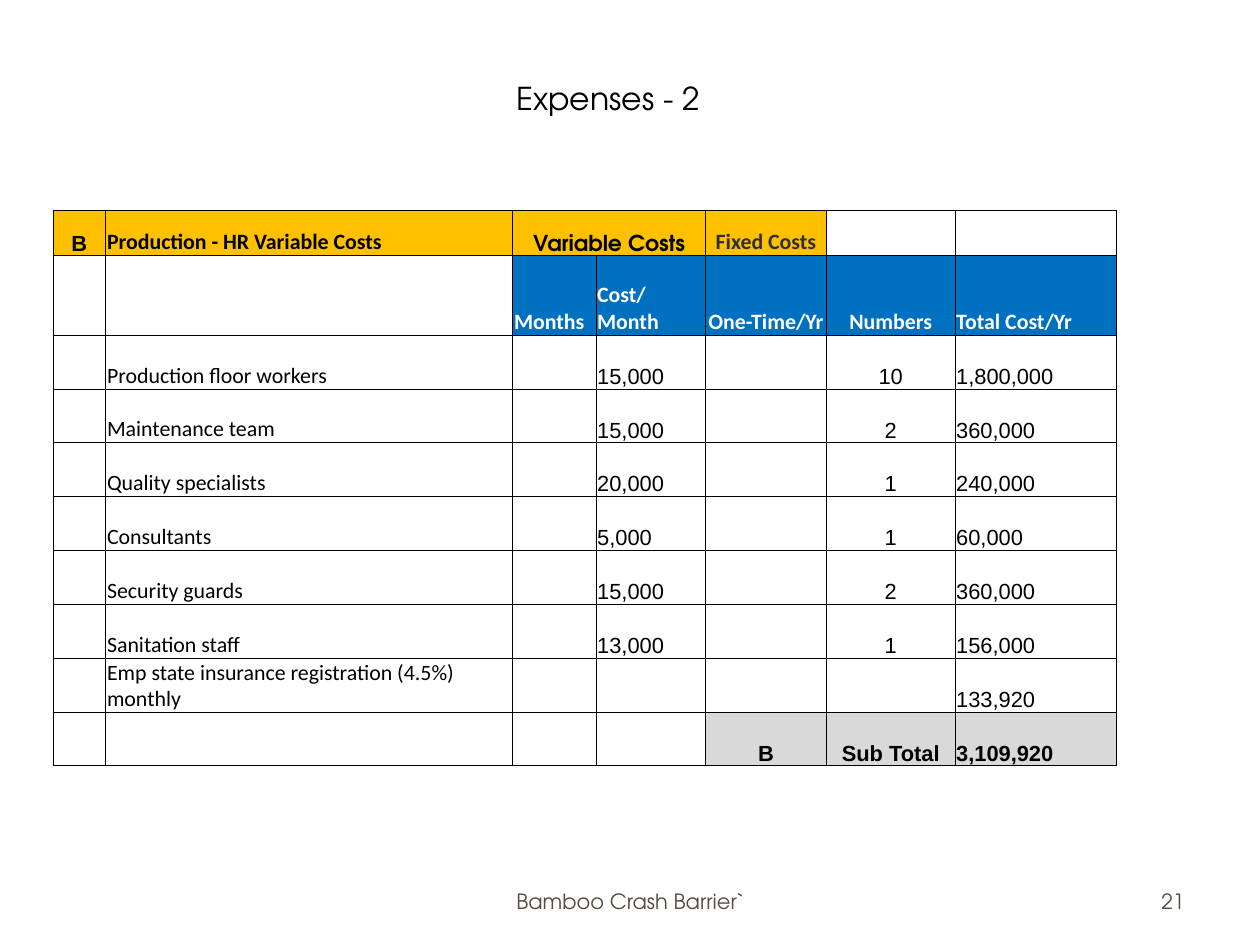
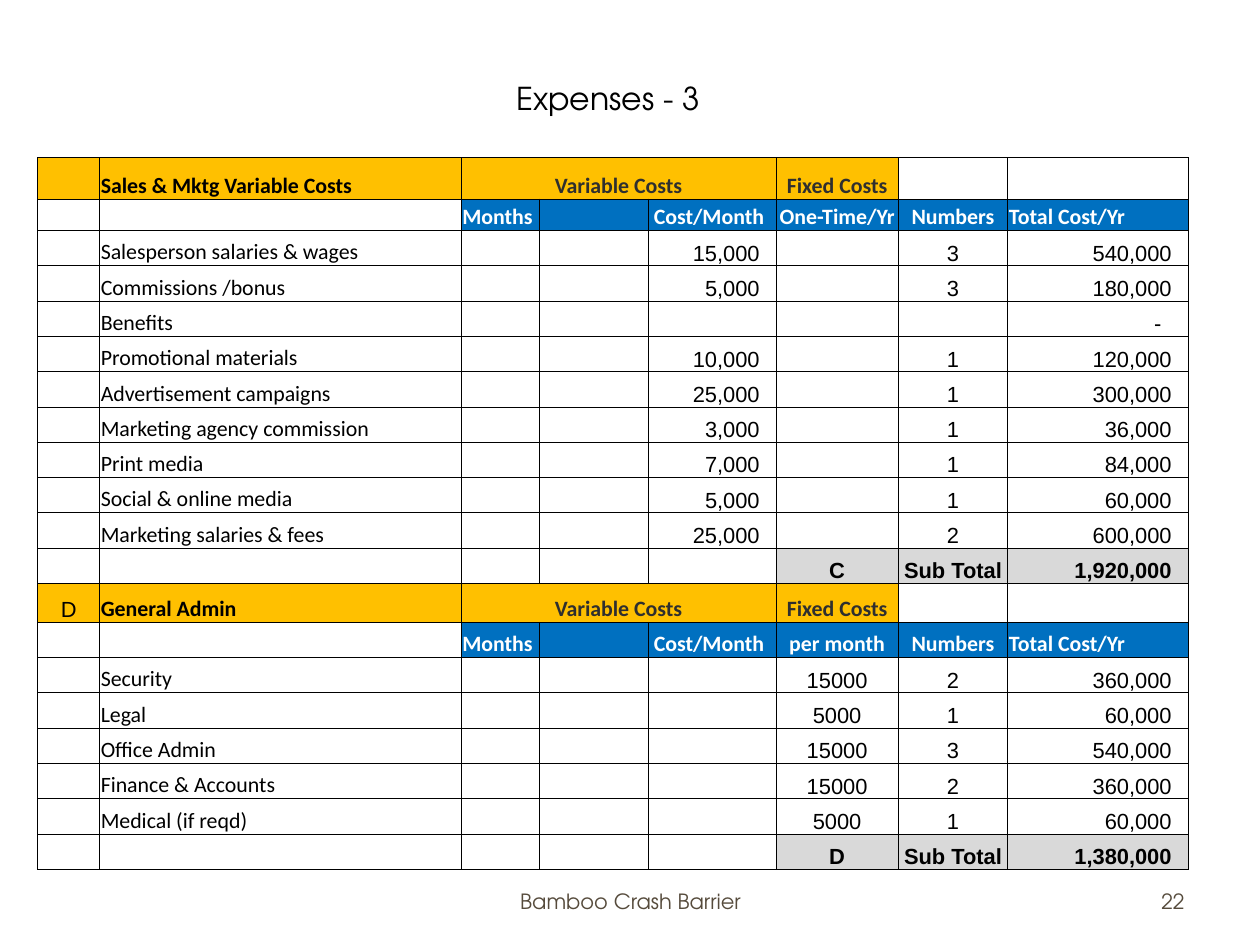
from lxml import etree
from pptx import Presentation
from pptx.dml.color import RGBColor
from pptx.enum.text import MSO_ANCHOR, PP_ALIGN
from pptx.oxml.ns import qn
from pptx.util import Inches, Pt

LEFT, CENTER, RIGHT = PP_ALIGN.LEFT, PP_ALIGN.CENTER, PP_ALIGN.RIGHT
TOP, MIDDLE, BOTTOM = MSO_ANCHOR.TOP, MSO_ANCHOR.MIDDLE, MSO_ANCHOR.BOTTOM

BLACK = RGBColor(0x00, 0x00, 0x00)
WHITE = RGBColor(0xFF, 0xFF, 0xFF)
DARK = RGBColor(0x2F, 0x2F, 0x2F)
BROWN = RGBColor(0x56, 0x4B, 0x3C)
AMBER = RGBColor(0xFF, 0xC0, 0x00)
BLUE = RGBColor(0x00, 0x70, 0xC0)
GREY = RGBColor(0xD9, 0xD9, 0xD9)

BRAND, LABEL, FIGURE = "TeX Gyre Adventor", "Calibri", "Arial"
CELL = 12.5
HEAD, NAMES, ITEM, TOTAL = "head", "names", "item", "total"
FILLS = {HEAD: AMBER, NAMES: BLUE, TOTAL: GREY}


def format_text(frame, font, size, color, align=LEFT, bold=False):
    par = frame.paragraphs[0]
    par.alignment = align
    for run in par.runs:
        run.font.name = font
        run.font.size = Pt(size)
        run.font.color.rgb = color
        run.font.bold = bold


def add_border(cell):
    props = cell._tc.get_or_add_tcPr()
    for side in ("a:lnL", "a:lnR", "a:lnT", "a:lnB"):
        line = etree.SubElement(props, qn(side), w=str(Pt(0.5)))
        fill = etree.SubElement(line, qn("a:solidFill"))
        etree.SubElement(fill, qn("a:srgbClr"), val=str(BLACK))


class Deck:
    def __init__(self):
        self.prs = Presentation()
        self.prs.slide_width, self.prs.slide_height = Inches(10), Inches(7.5)
        self.slide = None

    def text(self, text, left, top, width, size, color,
             align=LEFT, anchor=MIDDLE, wrap=True):
        box = self.slide.shapes.add_textbox(
            Inches(left), Inches(top), Inches(width), Inches(0.4))
        frame = box.text_frame
        frame.text = text
        frame.word_wrap = wrap
        frame.vertical_anchor = anchor
        format_text(frame, BRAND, size, color, align)

    def start(self, title, footer, number):
        self.slide = self.prs.slides.add_slide(self.prs.slide_layouts[6])
        self.text(title, 4, 0.58, 1.67, 18, BLACK, anchor=TOP, wrap=False)
        self.text(footer, 3.42, 6.95, 3.17, 12, BROWN, CENTER)
        self.text(number, 7.17, 6.95, 2.33, 12, BROWN, RIGHT)

    def costs(self, left, top, widths, heights, rows, pad=0.01, align=LEFT):
        """Draw a cost table; pad and align place its money figures."""
        shape = self.slide.shapes.add_table(
            len(rows), len(widths), Inches(left), Inches(top),
            Inches(sum(widths)), Inches(sum(heights)))
        table = shape.table
        table.first_row = table.horz_banding = False
        for col, width in zip(table.columns, widths):
            col.width = Inches(width)
        for row, height in zip(table.rows, heights):
            row.height = Inches(height)
        for r, (kind, *texts) in enumerate(rows):
            for c, text in enumerate(texts):
                self.cell(table.cell(r, c), kind, c, len(widths), text,
                          pad, align)
            if kind == HEAD:
                table.cell(r, 2).merge(table.cell(r, len(widths) - 4))
        return table

    def cell(self, cell, kind, col, count, text, pad, align):
        money = kind in (ITEM, TOTAL) and col in (count - 4, count - 1)
        filled = {HEAD: col < count - 2, NAMES: col > 1,
                  ITEM: False, TOTAL: col >= count - 3}[kind]
        add_border(cell)
        if filled:
            cell.fill.solid()
            cell.fill.fore_color.rgb = FILLS[kind]
        else:
            cell.fill.background()
        cell.vertical_anchor = BOTTOM
        cell.margin_left = cell.margin_top = Inches(0.01)
        cell.margin_right = Inches(pad if money else 0.01)
        cell.margin_bottom = 0
        if not text:
            end = cell.text_frame.paragraphs[0]._p.get_or_add_endParaRPr()
            end.set("sz", str(int(CELL * 100)))
            return
        cell.text_frame.text = text
        color = BLACK
        if kind == NAMES:
            color = WHITE
        elif kind == HEAD and col > 1:
            color = DARK
        numeric = kind == TOTAL or (kind == ITEM and col != 1)
        font = FIGURE if numeric or col == 0 else LABEL
        if money:
            side = align
        elif col in (0, count - 3, count - 2) or (kind == HEAD and col > 1):
            side = CENTER
        else:
            side = LEFT
        format_text(cell.text_frame, font, CELL, color, side, kind != ITEM)


def production(deck):
    deck.start("Expenses - 2", "Bamboo Crash Barrier`", "21")
    staff = [
        ("Production floor workers", "15,000", "10", "1,800,000"),
        ("Maintenance team", "15,000", "2", "360,000"),
        ("Quality specialists", "20,000", "1", "240,000"),
        ("Consultants", "5,000", "1", "60,000"),
        ("Security guards", "15,000", "2", "360,000"),
        ("Sanitation staff", "13,000", "1", "156,000"),
        ("Emp state insurance registration (4.5%) monthly", "", "", "133,920"),
    ]
    rows = [
        (HEAD, "B", "Production - HR Variable Costs", "Variable Costs", "",
         "Fixed Costs", "", ""),
        (NAMES, "", "", "Months", "Cost/Month", "One-Time/Yr", "Numbers",
         "Total Cost/Yr"),
        *((ITEM, "", name, "", cost, "", count, total)
          for name, cost, count, total in staff),
        (TOTAL, "", "", "", "", "B", "Sub Total", "3,109,920"),
    ]
    each = (4.41 - 0.36 - 0.63) / 8
    table = deck.costs(0.42, 1.67, [0.42, 3.23, 0.66, 0.87, 0.96, 1.02, 1.28],
                       [0.36, 0.63] + [each] * 8, rows)
    format_text(table.cell(0, 2).text_frame, BRAND, CELL, BLACK, CENTER, True)


def section(code, title, unit, items, total):
    """Return the rows of one cost group, from heading to subtotal."""
    return [
        (HEAD, code, title, "Variable Costs", "", "", "Fixed Costs", "", ""),
        (NAMES, "", "", "Months", "", "Cost/Month", unit, "Numbers",
         "Total Cost/Yr"),
        *((ITEM, "", name, "", "", cost, fixed, count, sum_)
          for name, cost, fixed, count, sum_ in items),
        (TOTAL, "", "", "", "", "", code or "C", "Sub Total", total),
    ]


def overhead(deck):
    deck.start("Expenses - 3", "Bamboo Crash Barrier", "22")
    sales = [
        ("Salesperson salaries & wages", "15,000", "", "3", "540,000"),
        ("Commissions /bonus", "5,000", "", "3", "180,000"),
        ("Benefits", "", "", "", "-"),
        ("Promotional materials", "10,000", "", "1", "120,000"),
        ("Advertisement campaigns", "25,000", "", "1", "300,000"),
        ("Marketing agency commission", "3,000", "", "1", "36,000"),
        ("Print media", "7,000", "", "1", "84,000"),
        ("Social & online media", "5,000", "", "1", "60,000"),
        ("Marketing salaries & fees", "25,000", "", "2", "600,000"),
    ]
    admin = [
        ("Security", "", "15000", "2", "360,000"),
        ("Legal", "", "5000", "1", "60,000"),
        ("Office Admin", "", "15000", "3", "540,000"),
        ("Finance & Accounts", "", "15000", "2", "360,000"),
        ("Medical (if reqd)", "", "5000", "1", "60,000"),
    ]
    rows = section("", "Sales & Mktg Variable Costs", "One-Time/Yr", sales,
                   "1,920,000")
    split = len(rows)
    rows += section("D", "General Admin", "per month", admin, "1,380,000")
    heights = [0.28] * len(rows)
    heights[0], heights[1], heights[split] = 0.33, 0.25, 0.31
    table = deck.costs(
        0.3, 1.25, [0.49, 2.87, 0.62, 0.87, 1.01, 0.97, 0.87, 1.43],
        heights, rows, 0.13, RIGHT)
    format_text(table.cell(split, 0).text_frame, FIGURE, CELL, BLACK, CENTER)
    for r in (1, split + 1):
        table.cell(r, 4).margin_left = Inches(0.04)
    table.cell(4, 7).margin_right = Inches(0.21)


def main():
    deck = Deck()
    production(deck)
    overhead(deck)
    deck.prs.save("out.pptx")


if __name__ == "__main__":
    main()
